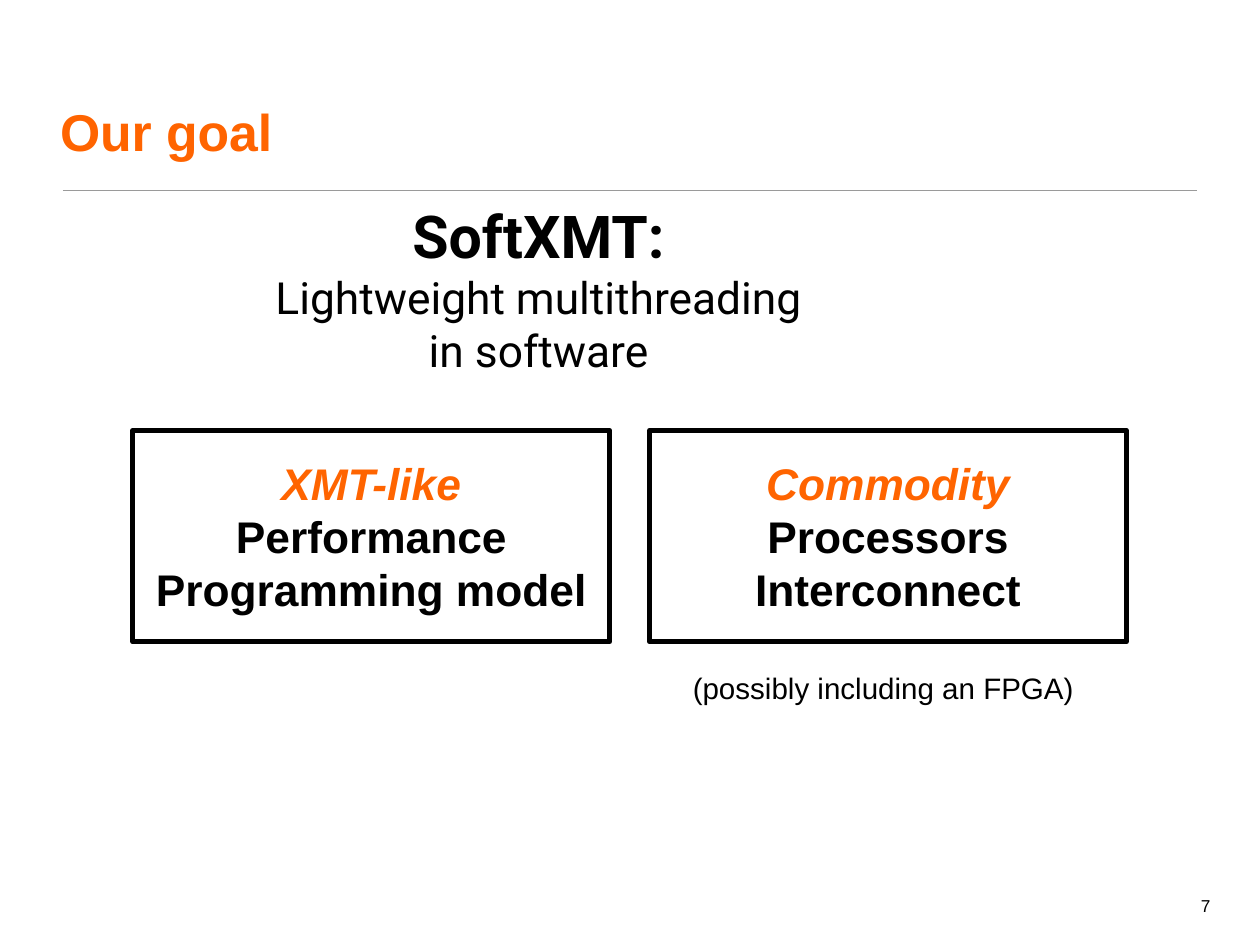
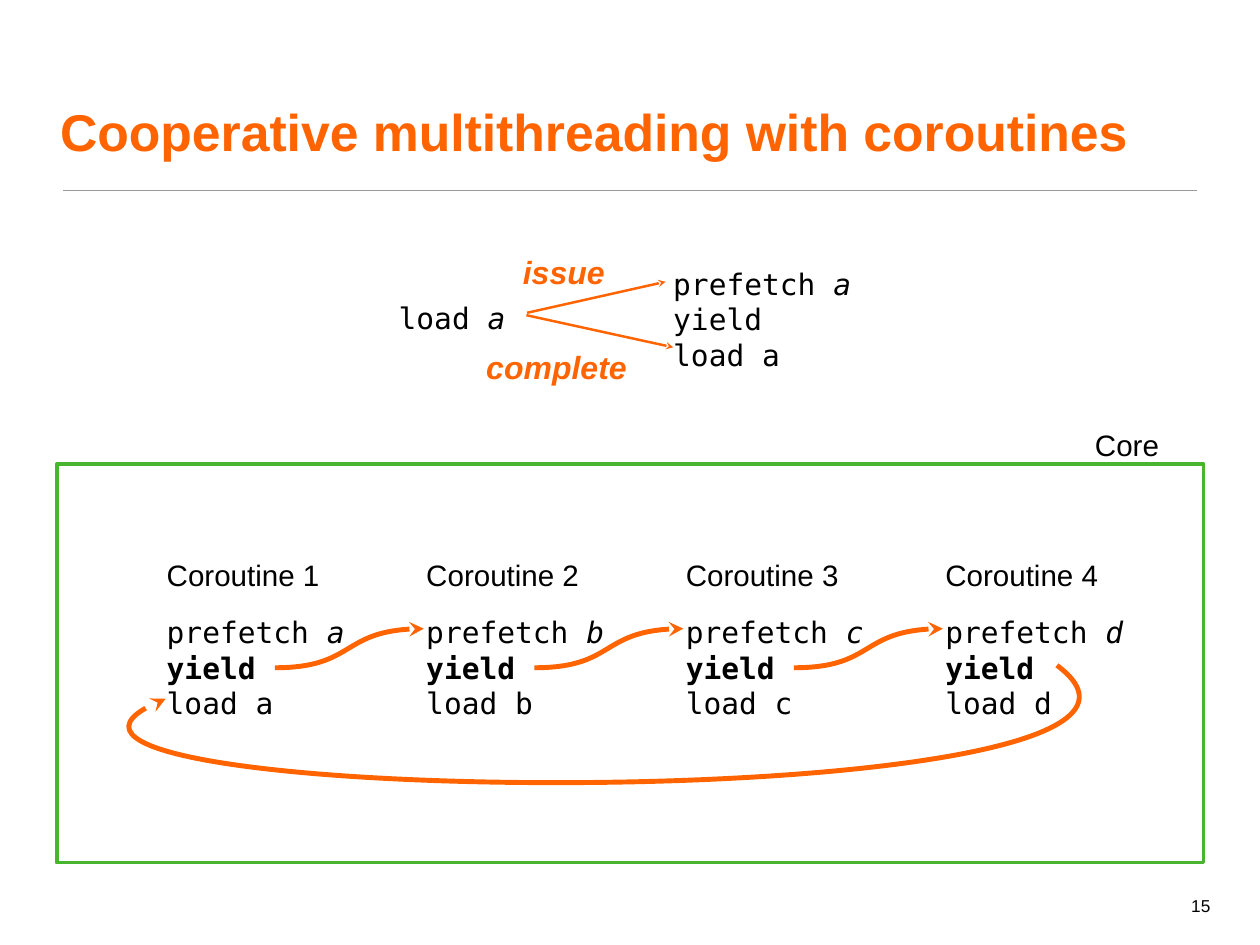
from lxml import etree
from pptx import Presentation
from pptx.dml.color import RGBColor
from pptx.enum.shapes import MSO_CONNECTOR, MSO_SHAPE
from pptx.enum.text import MSO_ANCHOR, MSO_AUTO_SIZE, PP_ALIGN
from pptx.oxml.ns import qn
from pptx.util import Cm, Pt

LEFT, CENTER, RIGHT = PP_ALIGN.LEFT, PP_ALIGN.CENTER, PP_ALIGN.RIGHT
TOP, MIDDLE, BOTTOM = MSO_ANCHOR.TOP, MSO_ANCHOR.MIDDLE, MSO_ANCHOR.BOTTOM
STRAIGHT, RECTANGLE = MSO_CONNECTOR.STRAIGHT, MSO_SHAPE.RECTANGLE
NO_AUTOFIT = MSO_AUTO_SIZE.NONE

ORANGE, BLACK, WHITE = "FF6400", "000000", "FFFFFF"
GRAY, GREEN = "9A9A9A", "48B42F"
SANS, MONO, HEADLINE = "Arial", "DejaVu Sans Mono", "Roboto"
TITLE_ONLY = 5


def rgb(hex_color):
    return RGBColor.from_string(hex_color)


def bezier(points, t):
    """Point at t on a cubic curve given by its four control points."""
    weights = ((1 - t) ** 3, 3 * t * (1 - t) ** 2, 3 * t * t * (1 - t), t ** 3)
    return tuple(round(sum(w * p[axis] for w, p in zip(weights, points)))
                 for axis in (0, 1))


class Deck:
    """Holds the shared style and the slide being built."""

    def __init__(self):
        self.prs = Presentation()
        self.prs.slide_width, self.prs.slide_height = Cm(36.12), Cm(27.1)
        self.slide = None

    def new_slide(self, title, number):
        layout = self.prs.slide_layouts[TITLE_ONLY]
        self.slide = self.prs.slides.add_slide(layout)
        self.line((1.8, 5.46), (34.32, 5.46), GRAY, 1)
        self.text((34.09, 25.55, 0.86, 0.84), [[(number, {})]], size=14,
                  align=RIGHT, anchor=TOP, insets=(0, 0.13, 0.25, 0.13))
        heading = self.slide.shapes.title
        heading.left, heading.top = Cm(1.57), Cm(0.91)
        heading.width, heading.height = Cm(32.94), Cm(3.89)
        self.fill_text(heading.text_frame, [[(title, {"bold": True})]],
                       size=42, color=ORANGE, insets=(0.15,) * 4)

    def fill_text(self, frame, paragraphs, size=24, font=SANS, color=BLACK,
                  align=LEFT, anchor=BOTTOM, insets=(0, 0, 0, 0)):
        """Fill a frame; each paragraph is a list of (text, style) runs."""
        frame.word_wrap, frame.auto_size = True, NO_AUTOFIT
        frame.vertical_anchor = anchor
        (frame.margin_left, frame.margin_top,
         frame.margin_right, frame.margin_bottom) = map(Cm, insets)
        for index, runs in enumerate(paragraphs):
            paragraph = frame.add_paragraph() if index else frame.paragraphs[0]
            paragraph.alignment = align
            for words, style in runs:
                run = paragraph.add_run()
                run.text = words
                run.font.name = font
                run.font.size = Pt(style.get("size", size))
                run.font.bold = style.get("bold", False)
                run.font.italic = style.get("italic", False)
                run.font.color.rgb = rgb(style.get("color", color))

    def text(self, box, paragraphs, **style):
        frame = self.slide.shapes.add_textbox(*map(Cm, box)).text_frame
        self.fill_text(frame, paragraphs, **style)

    def stroke(self, shape, color, width, arrow=False):
        shape.line.color.rgb = rgb(color)
        shape.line.width = Pt(width)
        if arrow:
            outline = shape.element.spPr.find(qn("a:ln"))
            etree.SubElement(outline, qn("a:headEnd"), type="stealth")

    def rectangle(self, box, color, width, fill=None):
        shape = self.slide.shapes.add_shape(RECTANGLE, *map(Cm, box))
        shape.shadow.inherit = False
        if fill:
            shape.fill.solid()
            shape.fill.fore_color.rgb = rgb(fill)
        else:
            shape.fill.background()
        self.stroke(shape, color, width)
        return shape

    def line(self, tip, tail, color, width, arrow=False):
        connector = self.slide.shapes.add_connector(
            STRAIGHT, *map(Cm, tip + tail))
        self.stroke(connector, color, width, arrow)
        etree.SubElement(connector.element.spPr, qn("a:effectLst"))

    def curve(self, points):
        """Orange cubic arrow whose head is at the first point."""
        points = [(Cm(x), Cm(y)) for x, y in points]
        builder = self.slide.shapes.build_freeform(*points[0])
        # Points along the curve give the shape its true bounds
        builder.add_line_segments(
            [bezier(points, step / 40) for step in range(1, 41)], close=False)
        shape = builder.convert_to_shape()
        outline = next(shape.element.iter(qn("a:path")))
        for segment in outline.findall(qn("a:lnTo")):
            outline.remove(segment)
        cubic = etree.SubElement(outline, qn("a:cubicBezTo"))
        for x, y in points[1:]:
            etree.SubElement(cubic, qn("a:pt"), x=str(x - shape.left),
                             y=str(y - shape.top))
        shape.fill.background()
        shape.shadow.inherit = False
        self.stroke(shape, ORANGE, 4, arrow=True)


def build_goal(deck):
    deck.new_slide("Our goal", "7")
    deck.text((7.26, 5.8, 16.36, 5), [
        [("SoftXMT:", {"size": 48, "bold": True})],
        [("Lightweight multithreading in software", {})],
    ], size=36, font=HEADLINE, align=CENTER)

    # The two halves of the goal
    halves = [("XMT-like", "Performance", "Programming model"),
              ("Commodity", "Processors", "Interconnect")]
    for column, (lead, *details) in enumerate(halves):
        half = deck.rectangle((3.81 + 14.81 * column, 12.34, 13.67, 6.07),
                              BLACK, 4, WHITE)
        lines = [[(lead, {"bold": True, "italic": True, "color": ORANGE})]]
        lines += [[(detail, {"bold": True})] for detail in details]
        deck.fill_text(half.text_frame, lines, size=36, align=CENTER,
                       anchor=MIDDLE)
    deck.text((19.86, 18.95, 11.18, 1.27),
              [[("(possibly including an FPGA)", {})]])


def build_coroutines(deck):
    deck.new_slide("Cooperative multithreading with coroutines", "15")

    def code(left, top, variable, bold_yield):
        deck.text((left, top, 5.38, 3.35), [
            [("prefetch ", {}), (variable, {"italic": True})],
            [("yield", {"bold": bold_yield})],
            [("load " + variable, {})],
        ], font=MONO)

    # Core with its four coroutines
    deck.rectangle((1.63, 13.31, 32.87, 11.43), GREEN, 3)
    deck.text((31.39, 11.99, 2.13, 1.27), [[("Core", {})]])
    for column, variable in enumerate("abcd"):
        left = 4.78 + 7.44 * column
        deck.text((left, 15.72, 4.72, 1.27),
                  [[(f"Coroutine {column + 1}", {})]])
        code(left, 17.32, variable, True)
        if column:
            tip = left - 0.07
            deck.curve([(tip, 18.03), (tip - 2.41, 18.03),
                        (tip - 2.03, 19.15), (tip - 4.27, 19.15)])
    # Return from the last coroutine to the first
    deck.curve([(4.75, 20.04), (-3.18, 23.21), (36.22, 23.47), (30.3, 19.08)])

    # A load split into issue and complete
    deck.text((11.43, 8.33, 3.35, 1.3),
              [[("load ", {}), ("a", {"italic": True})]], font=MONO)
    code(19.3, 7.32, "a", False)
    deck.line((19.08, 8.08), (15.11, 8.97), ORANGE, 2, arrow=True)
    deck.line((19.3, 9.96), (15.09, 9.04), ORANGE, 2, arrow=True)
    for phase, left, top, width in (("issue", 14.99, 6.96, 3.33),
                                    ("complete", 13.94, 9.7, 5.13)):
        deck.text((left, top, width, 1.37),
                  [[(phase, {"bold": True, "italic": True})]],
                  size=26, color=ORANGE)


def main():
    deck = Deck()
    build_goal(deck)
    build_coroutines(deck)
    deck.prs.save("out.pptx")


if __name__ == "__main__":
    main()
